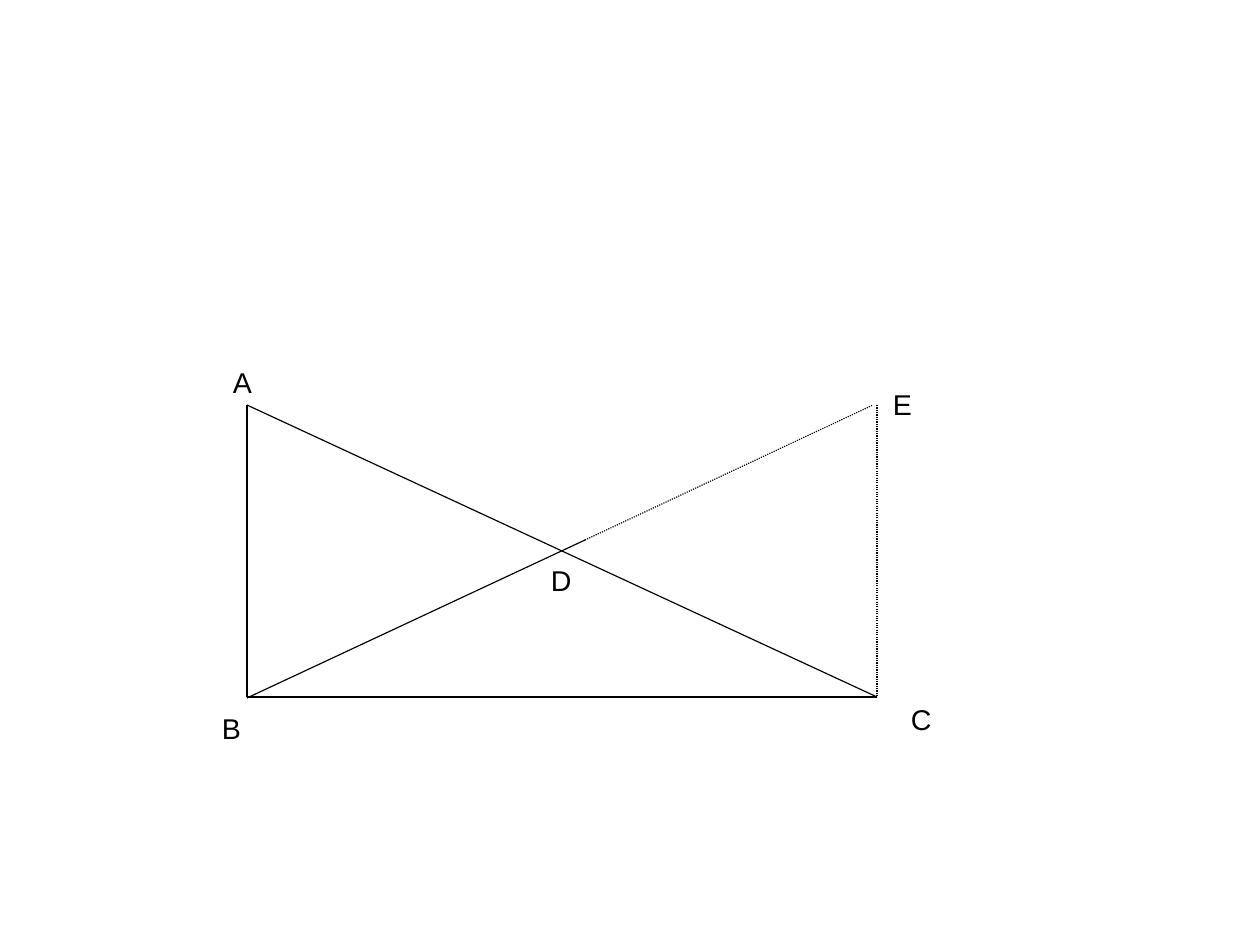
from lxml import etree
from pptx import Presentation, util as u
from pptx.dml.color import RGBColor
from pptx.enum import dml, shapes, text
from pptx.oxml import ns

PX = 8000  # EMU to the px: the page is 1260 by 945 px, 28 by 21 cm
BLACK = RGBColor(0x00, 0x00, 0x00)
FONT = "Arial"


def px(length):
    return u.Emu(length * PX)


def add_segment(page, start, end, dotted=False):
    segment = page.shapes.add_connector(
        shapes.MSO_CONNECTOR.STRAIGHT, *map(px, start + end))
    segment.line.color.rgb = BLACK
    segment.line.width = u.Pt(0.75)
    if dotted:
        segment.line.dash_style = dml.MSO_LINE.ROUND_DOT
    etree.SubElement(segment._element.spPr, ns.qn("a:effectLst"))


def add_label(page, letter, left, top, width):
    box = page.shapes.add_textbox(px(left), px(top), px(width), px(43))
    frame = box.text_frame
    frame.word_wrap = False
    frame.vertical_anchor = text.MSO_ANCHOR.TOP
    frame.margin_left = frame.margin_right = px(11)
    frame.margin_top, frame.margin_bottom = px(8), px(6)
    para = frame.paragraphs[0]
    para.text = letter
    para.line_spacing = 0.93
    para.font.name = FONT
    para.font.size = u.Pt(18)
    para.font.color.rgb = BLACK


def draw_figure(page, left, top, width, height):
    """Triangle ABC with its median BD, extended by dots to E."""
    right, bottom = left + width, top + height
    a, b, c = (left, top), (left, bottom), (right, bottom)
    median_end = (left + 338, top + 135)

    # Triangle and median
    add_segment(page, c, b)
    add_segment(page, a, b)
    add_segment(page, a, c)
    add_segment(page, (left, bottom + 1), median_end)

    # Vertex letters: offset from the figure's corner, box width
    labels = {
        "A": (-25, -45, 41),
        "B": (-36, 301, 41),
        "C": (653, 292, 43),
        "D": (293, 153, 43),
        "E": (635, -23, 41),
    }
    for letter, (across, down, label_width) in labels.items():
        add_label(page, letter, left + across, top + down, label_width)

    # Dotted extension
    add_segment(page, median_end, (right - 4, top), dotted=True)
    add_segment(page, (right, top), c, dotted=True)


def main():
    deck = Presentation()
    deck.slide_width, deck.slide_height = px(1260), px(945)
    page = deck.slides.add_slide(deck.slide_layouts[6])
    draw_figure(page, 247, 405, 630, 292)
    deck.save("out.pptx")


if __name__ == "__main__":
    main()
